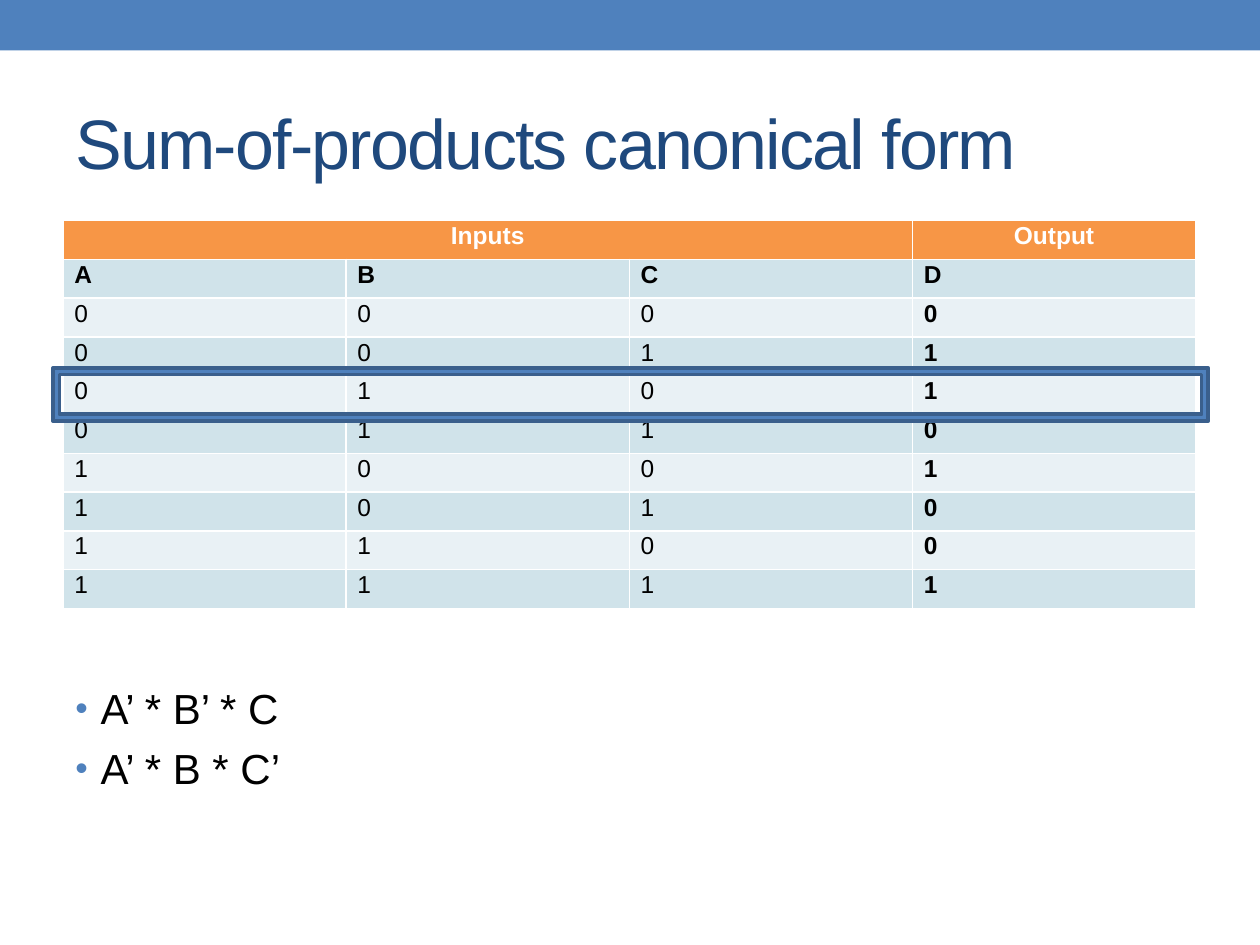
import itertools

import pptx
import pptx.dml.color
import pptx.enum.shapes
import pptx.enum.text
import pptx.oxml
import pptx.oxml.ns
import pptx.util

RGBColor = pptx.dml.color.RGBColor
Inches = pptx.util.Inches
Pt = pptx.util.Pt
Shape = pptx.enum.shapes.MSO_SHAPE
Align = pptx.enum.text.PP_ALIGN
Anchor = pptx.enum.text.MSO_ANCHOR

BLUE = RGBColor(0x4F, 0x81, 0xBD)
NAVY = RGBColor(0x1F, 0x49, 0x7D)
EDGE = RGBColor(0x3A, 0x5F, 0x8C)
ORANGE = RGBColor(0xF7, 0x96, 0x46)
DARK = RGBColor(0xD0, 0xE3, 0xEA)
LIGHT = RGBColor(0xE9, 0xF1, 0xF5)
WHITE = RGBColor(0xFF, 0xFF, 0xFF)
BLACK = RGBColor(0, 0, 0)


class Deck:
    font = "Arial"

    def __init__(self):
        self.prs = pptx.Presentation()
        self.prs.slide_width, self.prs.slide_height = Inches(10), Inches(7.5)
        self.slide = self.prs.slides.add_slide(self.prs.slide_layouts[6])

    def run(self, para, text, size, color, bold=False):
        run = para.add_run()
        run.text = text
        run.font.name = self.font
        run.font.size = Pt(size)
        run.font.bold = bold
        run.font.color.rgb = color
        return run

    def shape(self, kind, box, fill, line=None, width=0):
        shape = self.slide.shapes.add_shape(kind, *map(Inches, box))
        shape.shadow.inherit = False
        shape.fill.solid()
        shape.fill.fore_color.rgb = fill
        if line is None:
            shape.line.fill.background()
        else:
            shape.line.color.rgb = line
            shape.line.width = Pt(width)

    def frame(self, box):
        frame = self.slide.shapes.add_textbox(*map(Inches, box)).text_frame
        frame.word_wrap = True
        return frame

    def title(self, box, text):
        frame = self.frame(box)
        frame.vertical_anchor = Anchor.MIDDLE
        run = self.run(frame.paragraphs[0], text, 40, NAVY)
        run.font._element.set("spc", "-100")

    def bullets(self, box, lines):
        frame = self.frame(box)
        frame.margin_top = Inches(0.09)
        for i, text in enumerate(lines):
            para = frame.add_paragraph() if i else frame.paragraphs[0]
            if i:
                para.space_before = Pt(5.5)
            props = para._p.get_or_add_pPr()
            props.set("marL", str(Inches(0.2)))
            props.set("indent", str(-Inches(0.2)))
            space = pptx.oxml.ns.nsdecls("a")
            for xml in (f'<a:buClr {space}><a:srgbClr val="{BLUE}"/></a:buClr>',
                        f'<a:buSzPct {space} val="85000"/>',
                        f'<a:buFont {space} typeface="{self.font}"/>',
                        f'<a:buChar {space} char="•"/>'):
                props.append(pptx.oxml.parse_xml(xml))
            self.run(para, text, 24, BLACK)

    def cell(self, cell, text, fill, color=BLACK, bold=False, align=Align.LEFT):
        cell.fill.solid()
        cell.fill.fore_color.rgb = fill
        cell.margin_left = cell.margin_right = Inches(0.09)
        cell.margin_top = cell.margin_bottom = 0
        para = cell.text_frame.paragraphs[0]
        para.alignment = align
        para.line_spacing = 1.07
        self.run(para, text, 14, color, bold)

    def table(self, box, names, rows):
        grid = self.slide.shapes.add_table(
            len(rows) + 2, len(names), *map(Inches, box)).table
        for row in grid.rows:
            row.height = Inches(box[3] / len(grid.rows))

        # Group heads
        last = len(names) - 1
        grid.cell(0, 0).merge(grid.cell(0, last - 1))
        for col, text in ((0, "Inputs"), (last, "Output")):
            self.cell(grid.cell(0, col), text, ORANGE, WHITE, True, Align.CENTER)

        # Names and values in bands
        for r, row in enumerate([names, *rows]):
            fill = LIGHT if r % 2 else DARK
            for c, value in enumerate(row):
                bold = r == 0 or c == last
                self.cell(grid.cell(r + 1, c), str(value), fill, bold=bold)


def main():
    deck = Deck()

    # Top band and title
    deck.shape(Shape.RECTANGLE, (0, 0, 10, 0.4), BLUE)
    deck.title((0.5, 0.58, 9, 1.08), "Sum-of-products canonical form")

    # Product terms
    deck.bullets((0.5, 5.33, 9, 1.75), ["A’ * B’ * C", "A’ * B * C’"])

    # Truth table
    inputs = itertools.product((0, 1), repeat=3)
    outputs = (0, 1, 1, 0, 1, 0, 0, 1)
    rows = [(*bits, out) for bits, out in zip(inputs, outputs)]
    deck.table((0.5, 1.75, 8.99, 3.08), "ABCD", rows)

    # Mark on the current row
    deck.shape(Shape.FRAME, (0.42, 2.92, 9.17, 0.42), BLUE, EDGE, 2.08)

    deck.prs.save("out.pptx")


if __name__ == "__main__":
    main()
